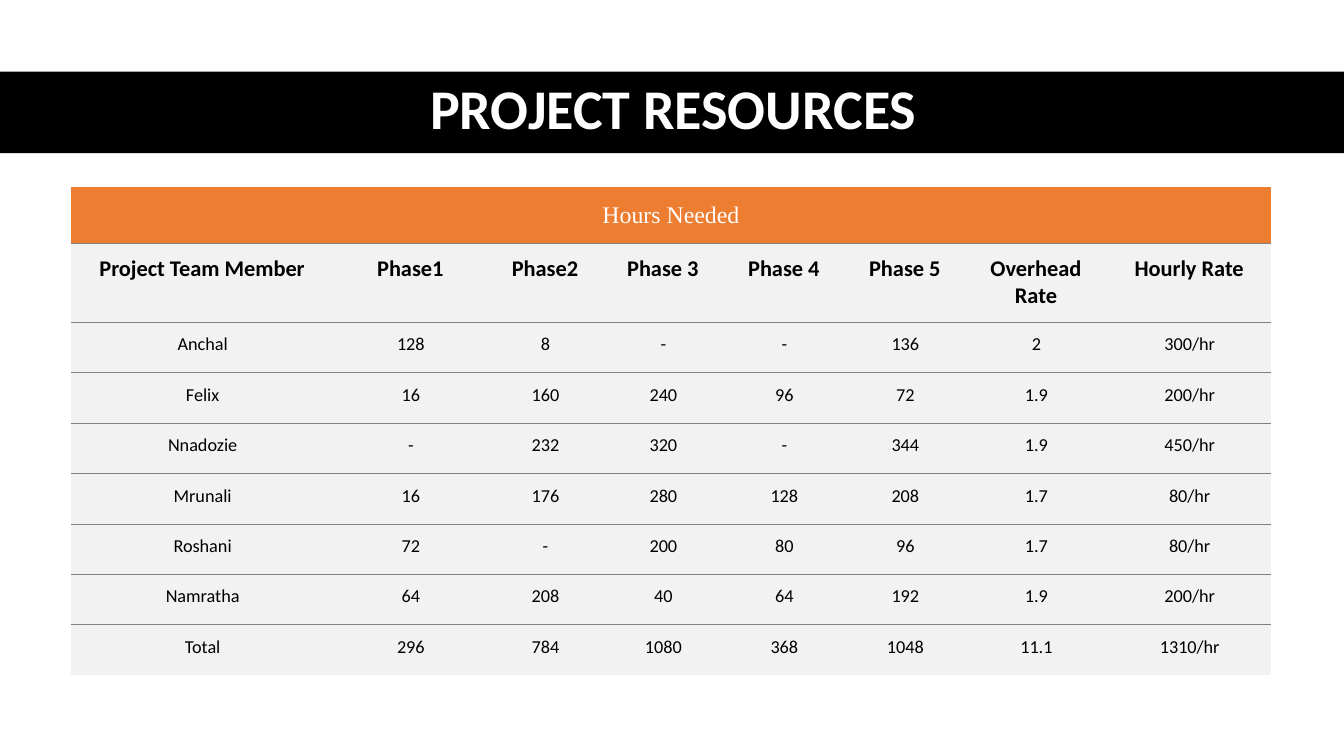
from dataclasses import dataclass

from lxml import etree
from pptx import Presentation
from pptx.dml.color import RGBColor
from pptx.enum.shapes import MSO_SHAPE
from pptx.enum.text import MSO_ANCHOR, MSO_AUTO_SIZE, PP_ALIGN
from pptx.oxml.ns import qn
from pptx.util import Inches, Pt

NBSP = "\u00a0"
RULE_COLOR = "808080"


@dataclass(frozen=True)
class TextStyle:
    size: float
    color: str
    bold: bool = False
    font: str = "Calibri"


@dataclass(frozen=True)
class RowStyle:
    height: float
    fill: str
    text: TextStyle
    anchor: MSO_ANCHOR = MSO_ANCHOR.TOP


TITLE = TextStyle(40, "FFFFFF", True)
BANNER = RowStyle(0.56, "ED7D31", TextStyle(17, "FFFFFF", font="Times New Roman"), MSO_ANCHOR.MIDDLE)
HEADINGS = RowStyle(0.78, "F2F2F2", TextStyle(16, "000000", True))
BODY = RowStyle(0.5, "F2F2F2", TextStyle(13, "000000"))

COLUMN_WIDTHS = [2.6, 1.53, 1.14, 1.2, 1.2, 1.2, 1.4, 1.64]
COLUMN_HEADINGS = ["Project Team Member", "Phase1", "Phase2", "Phase 3", "Phase 4", "Phase 5",
                   "Overhead\nRate", "Hourly Rate"]
MEMBERS = [
    ["Anchal", "128", "8", "-", "-", "136", "2", "300/hr"],
    ["Felix", "16", "160", "240", "96", "72", "1.9", "200/hr"],
    ["Nnadozie", "-", "232", "320", "-", "344", "1.9", "450/hr"],
    ["Mrunali", "16", "176", "280", "128", "208", "1.7", "80/hr"],
    ["Roshani", "72", "-", "200", "80", "96", "1.7", "80/hr"],
    ["Namratha", "64", "208", "40", "64", "192", "1.9", "200/hr"],
    ["Total", "296", "784", "1080", "368", "1048", "11.1", "1310/hr"],
]


def rgb(color: str) -> RGBColor:
    return RGBColor.from_string(color)


def write(frame, text: str, style: TextStyle) -> None:
    frame.text = "\n".join(line + NBSP for line in text.split("\n"))
    for paragraph in frame.paragraphs:
        paragraph.alignment = PP_ALIGN.CENTER
        font = paragraph.runs[0].font
        font.name, font.size, font.bold = style.font, Pt(style.size), style.bold
        font.color.rgb = rgb(style.color)


def set_borders(cell, top: bool, bottom: bool) -> None:
    properties = cell._tc.get_or_add_tcPr()
    for side, visible in {"L": False, "R": False, "T": top, "B": bottom}.items():
        line = etree.SubElement(properties, qn(f"a:ln{side}"), w=str(Pt(0.75)))
        if visible:
            fill = etree.SubElement(line, qn("a:solidFill"))
            etree.SubElement(fill, qn("a:srgbClr"), val=RULE_COLOR)
        else:
            etree.SubElement(line, qn("a:noFill"))


def add_title(slide, text: str) -> None:
    band = slide.shapes.add_shape(MSO_SHAPE.RECTANGLE, 0, Inches(0.71), Inches(13.33), Inches(0.81))
    band.shadow.inherit = False
    band.fill.solid()
    band.fill.fore_color.rgb = rgb("000000")
    band.line.fill.background()
    slide.shapes._spTree.insert(2, band._element)

    title = slide.shapes.title
    title.left, title.top = Inches(0.61), Inches(0.7)
    title.width, title.height = Inches(12.26), Inches(0.81)
    write(title.text_frame, text, TITLE)
    title.text_frame.auto_size = MSO_AUTO_SIZE.NONE
    title.text_frame.vertical_anchor = MSO_ANCHOR.MIDDLE
    title.text_frame.paragraphs[0].line_spacing = 0.9


def add_hours_table(slide) -> None:
    rows = [(BANNER, ["Hours Needed"]), (HEADINGS, COLUMN_HEADINGS)]
    rows += [(BODY, member) for member in MEMBERS]
    height = sum(style.height for style, _ in rows)
    table = slide.shapes.add_table(len(rows), len(COLUMN_WIDTHS), Inches(0.7), Inches(1.86),
                                   Inches(sum(COLUMN_WIDTHS)), Inches(height)).table
    table.first_row = table.horz_banding = False
    for column, width in zip(table.columns, COLUMN_WIDTHS):
        column.width = Inches(width)
    table.cell(0, 0).merge(table.cell(0, len(COLUMN_WIDTHS) - 1))

    for index, (style, texts) in enumerate(rows):
        table.rows[index].height = Inches(style.height)
        for cell in table.rows[index].cells:
            set_borders(cell, index > 0, index < len(rows) - 1)
            cell.fill.solid()
            cell.fill.fore_color.rgb = rgb(style.fill)
            cell.vertical_anchor = style.anchor
            cell.margin_left, cell.margin_top = Inches(0.16), Inches(0.11)
            cell.margin_right, cell.margin_bottom = Inches(0.1), Inches(0.12)
        for cell, text in zip(table.rows[index].cells, texts):
            write(cell.text_frame, text, style.text)


presentation = Presentation()
presentation.slide_width, presentation.slide_height = Inches(13.33), Inches(7.5)
slide = presentation.slides.add_slide(presentation.slide_layouts[5])
add_title(slide, "PROJECT RESOURCES")
add_hours_table(slide)
presentation.save("out.pptx")
